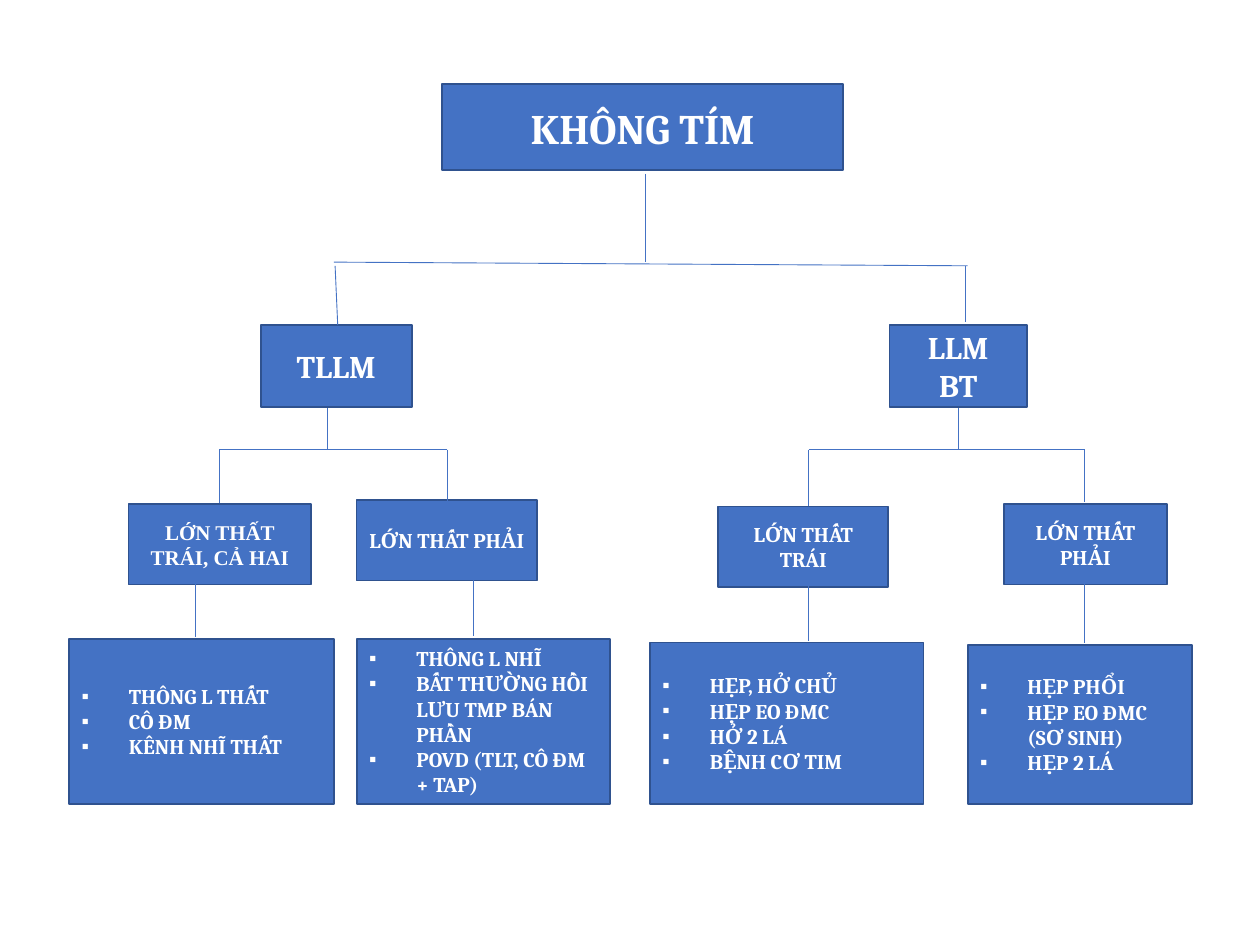
from lxml import etree
from pptx import Presentation
from pptx.dml.color import RGBColor
from pptx.enum.shapes import MSO_CONNECTOR, MSO_SHAPE
from pptx.enum.text import MSO_ANCHOR, PP_ALIGN
from pptx.oxml.ns import qn
from pptx.util import Pt

RECTANGLE = MSO_SHAPE.RECTANGLE
STRAIGHT = MSO_CONNECTOR.STRAIGHT
MIDDLE = MSO_ANCHOR.MIDDLE
CENTER, LEFT = PP_ALIGN.CENTER, PP_ALIGN.LEFT
BLUE = RGBColor(0x44, 0x72, 0xC4)
NAVY = RGBColor(0x2F, 0x52, 0x8F)
WHITE = RGBColor(0xFF, 0xFF, 0xFF)
SERIF, ROMAN = "Cambria", "Times New Roman"
INDENT = 27

HEADINGS = [
    ((252.7, 48.2, 229, 49), 24, SERIF, ["KHÔNG TÍM"]),
    ((149, 185.8, 86.4, 46.8), 18, SERIF, ["TLLM"]),
    ((508.3, 185.8, 78.5, 46.8), 18, SERIF, ["LLM", "BT"]),
    ((73.4, 288, 104.4, 46), 12, ROMAN, ["LỚN THẤT TRÁI, CẢ HAI"]),
    ((203.8, 285.8, 103, 46), 12, SERIF, ["LỚN THẤT PHẢI"]),
    ((410.4, 289.4, 97.2, 46), 12, SERIF, ["LỚN THẤT TRÁI"]),
    ((573.8, 288, 92.9, 46), 12, SERIF, ["LỚN THẤT", "PHẢI"]),
]
CAUSES = [
    ((39.6, 365, 151.2, 94.3), ["THÔNG L THẤT", "CÔ ĐM", "KÊNH NHĨ THẤT"]),
    ((203.8, 365, 144.7, 94.3),
     ["THÔNG L NHĨ", "BẤT THƯỜNG HỒI LƯU TMP BÁN PHẦN", "POVD (TLT, CÔ ĐM + TAP)"]),
    ((371.5, 367.2, 156.2, 92.2),
     ["HẸP, HỞ CHỦ", "HẸP EO ĐMC", "HỞ 2 LÁ", "BỆNH CƠ TIM"]),
    ((553, 368.6, 128.2, 90.7), ["HẸP PHỔI", "HẸP EO ĐMC (SƠ SINH)", "HẸP 2 LÁ"]),
]
ROOT_LINES = [
    (368.6, 99.4, 368.6, 149.8),
    (190.8, 149.8, 553, 151.9),
    (551.5, 151.9, 551.5, 184.3),
    (191.5, 151.9, 193, 185.8),
]
FORK_TOP, FORK_BAR = 233.3, 257
FORKS = [
    (187.2, (125.3, 287.3), (255.6, 286.6)),
    (547.9, (462.2, 289.4), (619.9, 286.6)),
]
CAUSE_LINKS = [
    (111.6, 332, 364.3),
    (270.7, 331.2, 363.6),
    (462.2, 333.4, 366.5),
    (619.9, 334, 367.2),
]


def add_bullet(para):
    properties = para._p.get_or_add_pPr()
    properties.set("marL", str(Pt(INDENT)))
    properties.set("indent", str(-Pt(INDENT)))
    color = etree.SubElement(properties, qn("a:buClr"))
    etree.SubElement(color, qn("a:srgbClr"), val=str(WHITE))
    etree.SubElement(properties, qn("a:buFont"), typeface="Arial")
    etree.SubElement(properties, qn("a:buChar"), char="▪")


def add_box(page, place, size, font_name, lines, bulleted=False):
    box = page.shapes.add_shape(RECTANGLE, *map(Pt, place))
    box.shadow.inherit = False
    box.fill.solid()
    box.fill.fore_color.rgb = BLUE
    box.line.color.rgb = NAVY
    box.line.width = Pt(1)
    frame = box.text_frame
    frame.word_wrap = True
    frame.vertical_anchor = MIDDLE
    for index, line in enumerate(lines):
        para = frame.add_paragraph() if index else frame.paragraphs[0]
        para.text = line
        para.alignment = LEFT if bulleted else CENTER
        if bulleted:
            add_bullet(para)
        para.font.name = font_name
        para.font.size = Pt(size)
        para.font.bold = True
        para.font.color.rgb = WHITE


def add_line(page, *ends):
    line = page.shapes.add_connector(STRAIGHT, *map(Pt, ends))
    line.line.color.rgb = BLUE
    line.line.width = Pt(0.5)
    etree.SubElement(line._element.spPr, qn("a:effectLst"))


def add_fork(page, stem, left, right):
    add_line(page, stem, FORK_TOP, stem, FORK_BAR)
    add_line(page, left[0], FORK_BAR, right[0], FORK_BAR)
    for x, bottom in (left, right):
        add_line(page, x, FORK_BAR, x, bottom)


def main():
    deck = Presentation()
    deck.slide_width, deck.slide_height = Pt(720), Pt(540)
    page = deck.slides.add_slide(deck.slide_layouts[6])
    for heading in HEADINGS:
        add_box(page, *heading)
    for place, lines in CAUSES:
        add_box(page, place, 12, SERIF, lines, bulleted=True)
    for ends in ROOT_LINES:
        add_line(page, *ends)
    for fork in FORKS:
        add_fork(page, *fork)
    for x, top, bottom in CAUSE_LINKS:
        add_line(page, x, top, x, bottom)
    deck.save("out.pptx")


if __name__ == "__main__":
    main()
